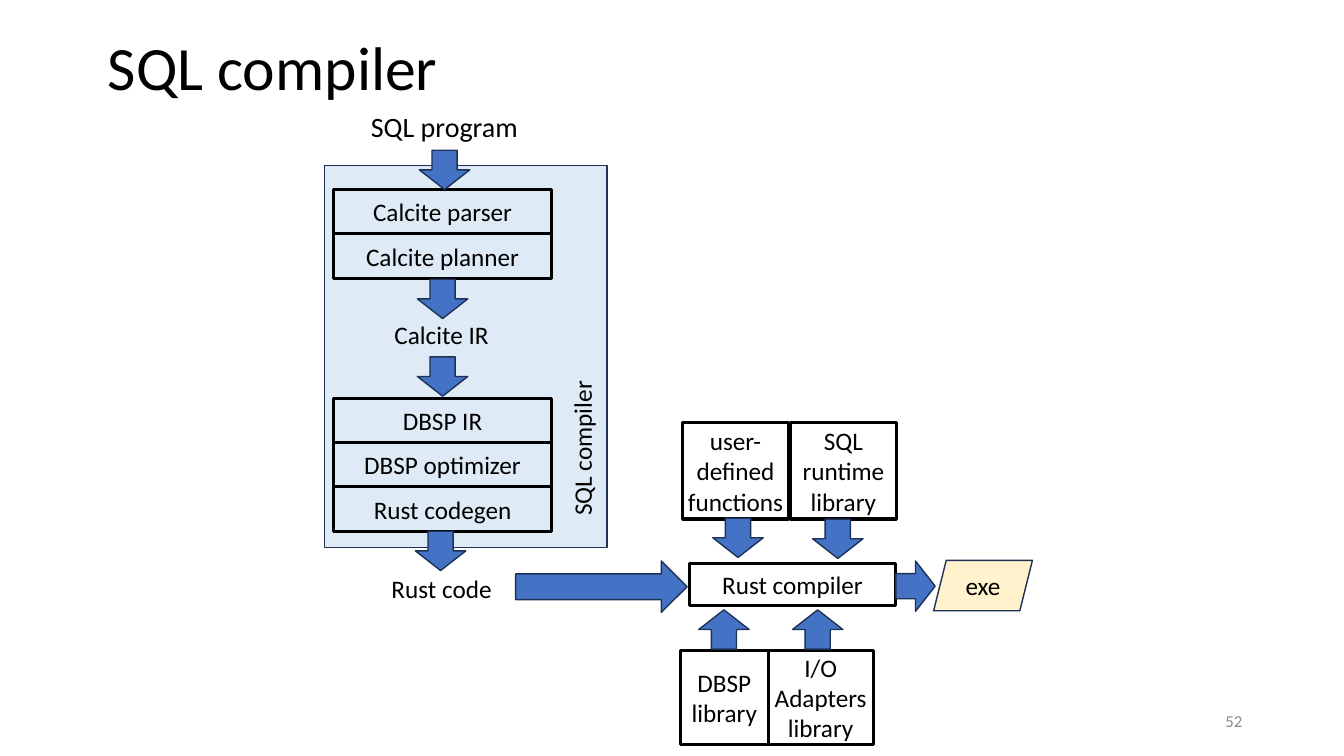
from dataclasses import dataclass

from pptx import Presentation
from pptx.dml.color import RGBColor
from pptx.enum.shapes import MSO_SHAPE as Shape
from pptx.enum.text import MSO_ANCHOR as Anchor, PP_ALIGN as Align
from pptx.util import Inches, Pt


@dataclass(frozen=True)
class Theme:
    font: str = "Calibri"
    black: str = "000000"
    gray: str = "8C8C8C"
    panel: str = "DEEBF7"
    arrow: str = "4472C4"
    outline: str = "1E3256"
    output: str = "FFF2CC"
    title_size: int = 44
    input_size: int = 20
    body_size: int = 18
    number_size: int = 12
    thin: float = 1
    thick: float = 2.25


THEME = Theme()


def color(value):
    return RGBColor.from_string(value)


def place(shape, left, top, width, height):
    shape.left, shape.top = Inches(left), Inches(top)
    shape.width, shape.height = Inches(width), Inches(height)


def write(shape, text, size=THEME.body_size, ink=THEME.black,
          align=Align.CENTER, anchor=Anchor.MIDDLE, wrap=True):
    frame = shape.text_frame
    frame.text = text
    frame.word_wrap = wrap
    frame.vertical_anchor = anchor
    for paragraph in frame.paragraphs:
        paragraph.alignment = align
        for run in paragraph.runs:
            run.font.name = THEME.font
            run.font.size = Pt(size)
            run.font.color.rgb = color(ink)


def add_figure(slide, kind, bounds, fill=None, line=THEME.outline,
               line_width=THEME.thin):
    shape = slide.shapes.add_shape(kind, *map(Inches, bounds))
    shape.shadow.inherit = False
    if fill:
        shape.fill.solid()
        shape.fill.fore_color.rgb = color(fill)
    else:
        shape.fill.background()
    shape.line.color.rgb = color(line)
    shape.line.width = Pt(line_width)
    return shape


def add_box(slide, text, left, top, width, height, wrap=True):
    box = add_figure(slide, Shape.RECTANGLE, (left, top, width, height),
                     line=THEME.black, line_width=THEME.thick)
    write(box, text, wrap=wrap)


def add_stack(slide, labels, top, left=3.31, width=2.16, height=0.44):
    for index, label in enumerate(labels):
        add_box(slide, label, left, top + index * height, width, height)


def add_arrow(slide, left, top, width=0.5, height=0.39, rotation=0):
    arrow = add_figure(slide, Shape.DOWN_ARROW, (left, top, width, height),
                       fill=THEME.arrow)
    arrow.rotation = rotation


def add_label(slide, text, left, top, width, height=0.4, rotation=0,
              anchor=Anchor.TOP, **style):
    label = slide.shapes.add_textbox(*map(Inches, (left, top, width, height)))
    label.rotation = rotation
    write(label, text, anchor=anchor, **style)


def add_title(slide, text):
    title = slide.shapes.title
    place(title, 0.97, 0.27, 11.48, 0.86)
    write(title, text, size=THEME.title_size, align=Align.LEFT)
    title.text_frame.paragraphs[0].line_spacing = 0.9


def add_sql_compiler(slide):
    add_figure(slide, Shape.RECTANGLE, (3.22, 1.64, 2.8, 3.79), fill=THEME.panel)
    add_label(slide, "SQL program", 3.58, 1.04, 1.67, 0.44,
              size=THEME.input_size, align=Align.LEFT, wrap=False)
    add_stack(slide, ["Calcite parser", "Calcite planner"], 1.88)
    add_stack(slide, ["DBSP IR", "DBSP optimizer", "Rust codegen"], 3.95)
    for left, top in [(4.16, 1.49), (4.14, 2.77), (4.14, 3.54), (4.12, 5.27)]:
        add_arrow(slide, left, top)
    add_label(slide, "Calcite IR", 3.7, 3.12, 1.36)
    add_label(slide, "Rust code", 3.7, 5.64, 1.36)
    add_label(slide, "SQL compiler", 4.66, 4.25, 2.22, rotation=270)


def add_rust_compiler(slide):
    add_box(slide, "user-\ndefined\vfunctions", 6.77, 4.19, 1.05, 0.96, wrap=False)
    add_box(slide, "SQL\nruntime\nlibrary", 7.84, 4.19, 1.05, 0.96)
    add_box(slide, "Rust compiler", 6.84, 5.59, 2.04, 0.42)
    add_box(slide, "DBSP\nlibrary", 6.75, 6.45, 0.87, 0.94)
    add_box(slide, "I/O\nAdapters\nlibrary", 7.62, 6.45, 1.04, 0.94, wrap=False)
    for left, top, rotation in [(7.07, 5.14, 0), (8.06, 5.15, 0),
                                (6.93, 6.05, 180), (7.86, 6.05, 180),
                                (8.83, 5.62, 270)]:
        add_arrow(slide, left, top, rotation=rotation)
    add_arrow(slide, 5.71, 4.97, 0.51, 1.7, rotation=270)
    executable = add_figure(slide, Shape.PARALLELOGRAM, (9.26, 5.56, 0.98, 0.5),
                            fill=THEME.output)
    write(executable, "exe")


def main():
    presentation = Presentation()
    presentation.slide_width = Inches(13.33)
    presentation.slide_height = Inches(7.5)
    slide = presentation.slides.add_slide(presentation.slide_layouts[5])
    add_title(slide, "SQL compiler")
    add_sql_compiler(slide)
    add_rust_compiler(slide)
    add_label(slide, "52", 9.42, 6.95, 3, size=THEME.number_size,
              ink=THEME.gray, align=Align.RIGHT, anchor=Anchor.MIDDLE)
    presentation.save("out.pptx")


if __name__ == "__main__":
    main()
